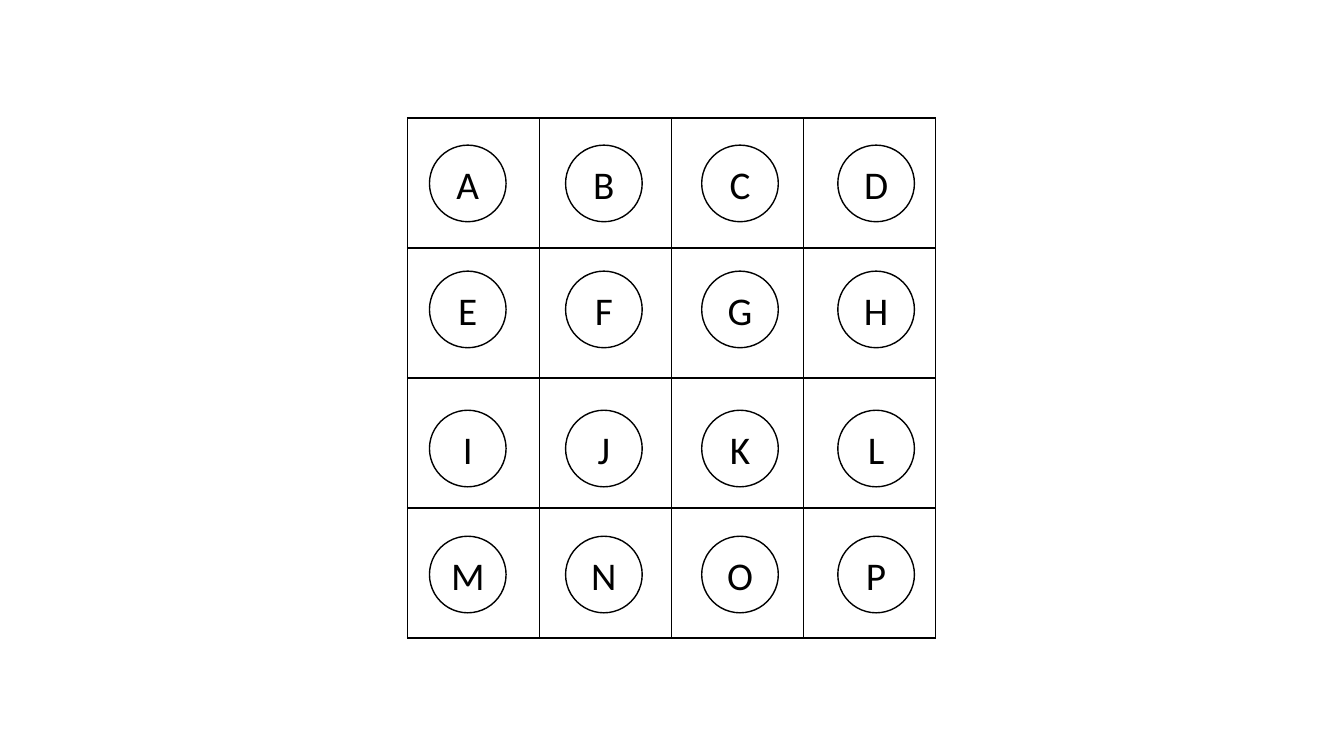
"""Build a slide with a four by four grid of lettered circles."""
import lxml.etree
import pptx
import pptx.dml.color
import pptx.enum.shapes
import pptx.enum.text
import pptx.oxml.ns
import pptx.util

LETTER_ROWS = ["ABCD", "EFGH", "IJKL", "MNOP"]
SLIDE_WIDTH, SLIDE_HEIGHT = 13.33, 7.5
GRID_LEFT, GRID_TOP = 4.04, 1.17
CELL_WIDTH, CELL_HEIGHT = 1.31, 1.29
CIRCLE_LEFT, CIRCLE_STEP, CIRCLE_SIZE = 4.26, 1.35, 0.76
CIRCLE_TOP, ROW_STEP, PAIR_STEP = 1.44, 1.25, 2.63
LINE_WIDTH = 1
BLACK = pptx.dml.color.RGBColor(0, 0, 0)
WHITE = pptx.dml.color.RGBColor(255, 255, 255)
Inches = pptx.util.Inches


def write_text(shape, text, size=28, font="Calibri", color=BLACK):
    frame = shape.text_frame
    frame.margin_left = frame.margin_right = 0
    frame.margin_top = frame.margin_bottom = 0
    frame.vertical_anchor = pptx.enum.text.MSO_ANCHOR.MIDDLE
    paragraph = frame.paragraphs[0]
    paragraph.alignment = pptx.enum.text.PP_ALIGN.CENTER
    run = paragraph.add_run()
    run.text = text
    run.font.size = pptx.util.Pt(size)
    run.font.name = font
    run.font.color.rgb = color


def add_borders(cell):
    qn = pptx.oxml.ns.qn
    properties = cell._tc.get_or_add_tcPr()
    for side in ("lnL", "lnR", "lnT", "lnB"):
        width = str(pptx.util.Pt(LINE_WIDTH))
        border = lxml.etree.SubElement(properties, qn(f"a:{side}"), w=width)
        fill = lxml.etree.SubElement(border, qn("a:solidFill"))
        lxml.etree.SubElement(fill, qn("a:srgbClr"), val=str(BLACK))


def add_grid(slide):
    rows, columns = len(LETTER_ROWS), len(LETTER_ROWS[0])
    table = slide.shapes.add_table(
        rows, columns, Inches(GRID_LEFT), Inches(GRID_TOP),
        Inches(columns * CELL_WIDTH), Inches(rows * CELL_HEIGHT)).table
    table.first_row = table.horz_banding = False
    for column in table.columns:
        column.width = Inches(CELL_WIDTH)
    for row in table.rows:
        row.height = Inches(CELL_HEIGHT)
    for cell in table.iter_cells():
        add_borders(cell)
        cell.fill.background()


def add_circle(slide, letter, left, top):
    circle = slide.shapes.add_shape(
        pptx.enum.shapes.MSO_SHAPE.OVAL, Inches(left), Inches(top),
        Inches(CIRCLE_SIZE), Inches(CIRCLE_SIZE))
    circle.shadow.inherit = False
    circle.fill.solid()
    circle.fill.fore_color.rgb = WHITE
    circle.line.color.rgb = BLACK
    circle.line.width = pptx.util.Pt(LINE_WIDTH)
    write_text(circle, letter)


def main():
    presentation = pptx.Presentation()
    presentation.slide_width = Inches(SLIDE_WIDTH)
    presentation.slide_height = Inches(SLIDE_HEIGHT)
    slide = presentation.slides.add_slide(presentation.slide_layouts[6])
    add_grid(slide)
    for row, letters in enumerate(LETTER_ROWS):
        pair, place = divmod(row, 2)
        top = CIRCLE_TOP + pair * PAIR_STEP + place * ROW_STEP
        for column, letter in enumerate(letters):
            add_circle(slide, letter, CIRCLE_LEFT + column * CIRCLE_STEP, top)
    presentation.save("out.pptx")


if __name__ == "__main__":
    main()
